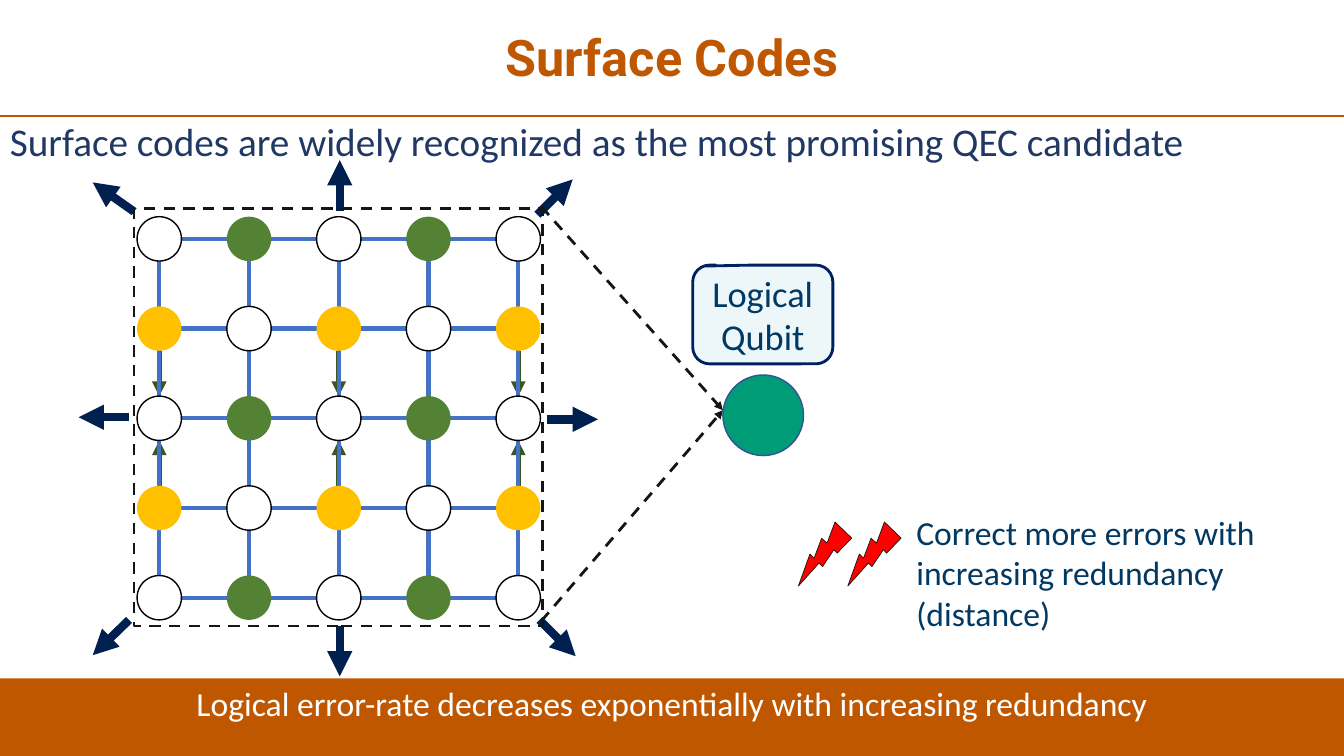
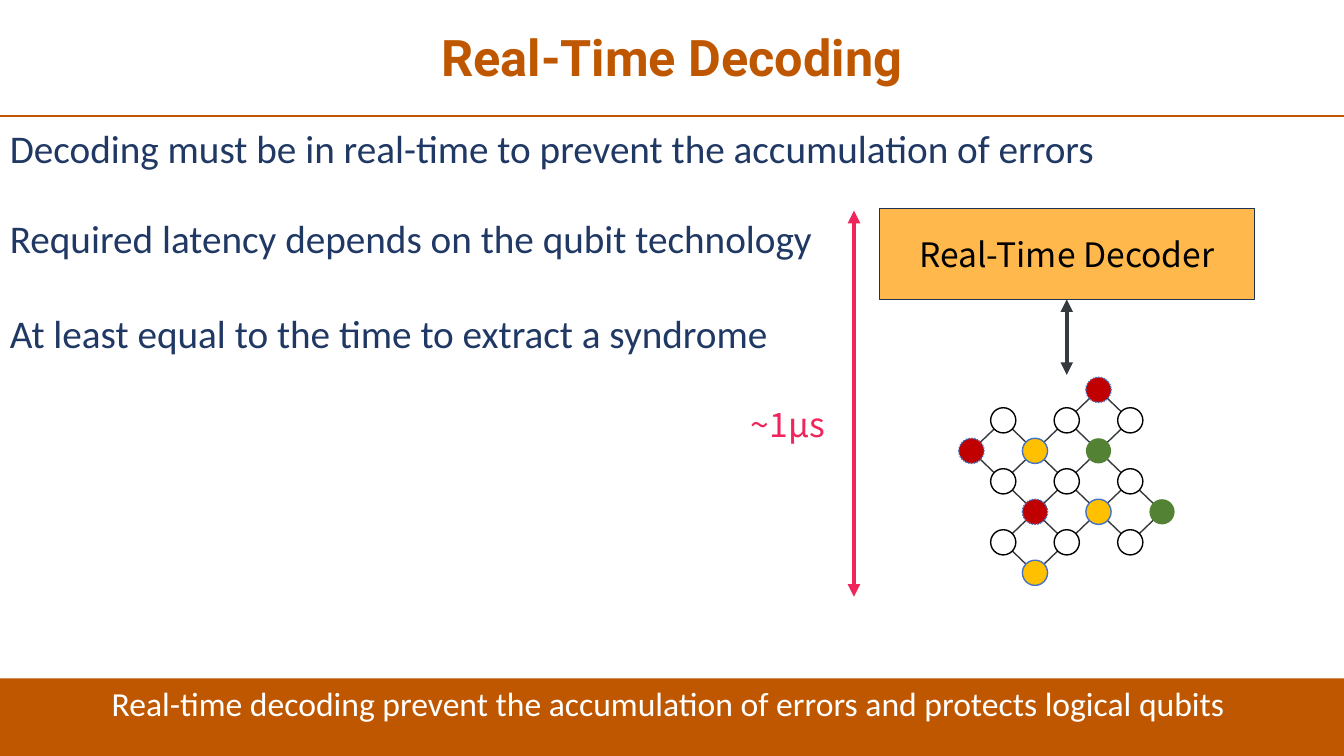
from dataclasses import dataclass
from itertools import product

from lxml.etree import SubElement
from pptx import Presentation
from pptx.dml.color import RGBColor
from pptx.enum.dml import MSO_LINE_DASH_STYLE as Dash
from pptx.enum.shapes import MSO_CONNECTOR, MSO_SHAPE as Shape
from pptx.enum.text import MSO_ANCHOR as Anchor, PP_ALIGN as Align
from pptx.oxml.ns import qn
from pptx.util import Inches, Pt


@dataclass(frozen=True)
class Theme:
    title_color: str = "BE5700"
    band: str = "BF5700"
    body: str = "203864"
    label: str = "003963"
    white: str = "FFFFFF"
    black: str = "000000"
    ink: str = "151515"
    grid: str = "4472C4"
    x_check: str = "548235"
    z_check: str = "FFC000"
    flagged: str = "C00000"
    flow: str = "385723"
    growth: str = "002050"
    logical: str = "009B77"
    logical_line: str = "325491"
    callout: str = "EDF6F9"
    callout_line: str = "002060"
    error: str = "FF0000"
    error_line: str = "181717"
    decoder: str = "FFB84C"
    decoder_line: str = "1E3256"
    wire: str = "343A40"
    latency: str = "EF255B"
    title_font: str = "Roboto"
    body_font: str = "Calibri"
    diagram_font: str = "Noto Sans CJK JP"
    title_size: int = 36
    body_size: int = 28
    callout_size: int = 26
    label_size: int = 24


THEME = Theme()
SLIDE_WIDTH, SLIDE_HEIGHT = 13.33, 7.5


def rgb(color):
    return RGBColor.from_string(color)


def style_line(line, color, width, dash=None):
    line.color.rgb = rgb(color)
    line.width = Pt(width)
    if dash is not None:
        line.dash_style = dash


def write_text(shape, lines, color, size, font=THEME.body_font, align=Align.LEFT,
               anchor=Anchor.TOP, bold=False, wrap=True, spacing=None):
    frame = shape.text_frame
    frame.word_wrap = wrap
    frame.vertical_anchor = anchor
    for index, line in enumerate(lines):
        paragraph = frame.paragraphs[0] if index == 0 else frame.add_paragraph()
        paragraph.alignment = align
        paragraph.line_spacing = spacing
        run = paragraph.add_run()
        run.text = line
        run.font.name = font
        run.font.size = Pt(size)
        run.font.bold = bold
        run.font.color.rgb = rgb(color)


def add_text(slide, box, lines, color, size, **options):
    text_box = slide.shapes.add_textbox(*map(Inches, box))
    write_text(text_box, lines, color, size, **options)


def add_shape(slide, kind, box, fill=None, line=None):
    """Add a preset shape; line holds colour, width and optionally a dash."""
    shape = slide.shapes.add_shape(kind, *map(Inches, box))
    shape.shadow.inherit = False
    if fill:
        shape.fill.solid()
        shape.fill.fore_color.rgb = rgb(fill)
    else:
        shape.fill.background()
    if line:
        style_line(shape.line, *line)
    else:
        shape.line.fill.background()
    return shape


def add_circle(slide, center, diameter, fill, line=None):
    x, y = center
    box = (x - diameter / 2, y - diameter / 2, diameter, diameter)
    add_shape(slide, Shape.OVAL, box, fill, line)


def add_line(slide, start, end, color, width, dash=None, arrows=()):
    """Add a straight line; arrows may name "headEnd" (start) and "tailEnd" (end)."""
    connector = slide.shapes.add_connector(
        MSO_CONNECTOR.STRAIGHT, *map(Inches, (*start, *end)))
    style_line(connector.line, color, width, dash)
    properties = connector._element.spPr
    for arrow in arrows:
        SubElement(properties.find(qn("a:ln")), qn(f"a:{arrow}"), type="triangle")
    SubElement(properties, qn("a:effectLst"))


def add_frame(presentation, title, message):
    """Add a slide with its title, rule and message band."""
    slide = presentation.slides.add_slide(presentation.slide_layouts[6])
    add_text(slide, (0.09, 0.04, 13.15, 1.11), [title], THEME.title_color,
             THEME.title_size, font=THEME.title_font, align=Align.CENTER,
             anchor=Anchor.MIDDLE, bold=True, spacing=0.9)
    add_line(slide, (0, 1.15), (SLIDE_WIDTH, 1.15), THEME.band, 1.5)
    band = add_shape(slide, Shape.RECTANGLE, (0, 6.73, SLIDE_WIDTH, 0.77), THEME.band)
    write_text(band, [message], THEME.white, THEME.label_size, align=Align.CENTER)
    return slide


def add_statement(slide, top, text, width=SLIDE_WIDTH):
    add_text(slide, (0, top, width, 0.57), [text], THEME.body, THEME.body_size)


def add_surface_lattice(slide):
    left, top, pitch, count = 1.58, 2.37, 0.89, 5
    middle = top + 2 * pitch
    for column, side in product((0, 2, 4), (-1, 1)):
        x = left + column * pitch
        add_line(slide, (x, middle + side * 0.67), (x, middle + side * 0.22),
                 THEME.flow, 3.5, arrows=["tailEnd"])
    for row, column in product(range(count - 1), repeat=2):
        cell = (left + column * pitch, top + row * pitch, pitch, pitch)
        add_shape(slide, Shape.RECTANGLE, cell, line=(THEME.grid, 3))
    for row, column in product(range(count), repeat=2):
        center = (left + column * pitch, top + row * pitch)
        if (row + column) % 2 == 0:
            add_circle(slide, center, 0.44, THEME.white, (THEME.black, 1))
        else:
            add_circle(slide, center, 0.44, THEME.z_check if row % 2 else THEME.x_check)


def add_growth_arrows(slide):
    arrows = [
        ((5.43, 4.16), (5.93, 4.16)), ((3.37, 6.21), (3.37, 6.71)),
        ((1.28, 4.14), (0.78, 4.14)), ((3.37, 2.09), (3.37, 1.59)),
        ((5.35, 6.15), (5.71, 6.51)), ((1.28, 6.15), (0.92, 6.5)),
        ((5.33, 2.13), (5.68, 1.78)), ((1.33, 2.1), (0.92, 1.81)),
    ]
    for start, end in arrows:
        add_line(slide, start, end, THEME.growth, 6, arrows=["tailEnd"])


def add_logical_qubit(slide):
    outline = (THEME.ink, 2, Dash.DASH)
    for corner_y in (2.05, 6.16):
        add_line(slide, (5.37, corner_y), (7.17, 4.07), *outline, arrows=["tailEnd"])
    add_shape(slide, Shape.RECTANGLE, (1.33, 2.07, 4.05, 4.14), line=outline)
    add_circle(slide, (7.57, 4.12), 0.8, THEME.logical, (THEME.logical_line, 1))
    callout = add_shape(slide, Shape.ROUNDED_RECTANGULAR_CALLOUT,
                        (6.87, 2.63, 1.39, 0.98), THEME.callout,
                        (THEME.callout_line, 2))
    for index, value in enumerate((-0.41, -0.49, 0.17)):
        callout.adjustments[index] = value
    write_text(callout, ["Logical Qubit"], THEME.label, THEME.callout_size,
               align=Align.CENTER, anchor=Anchor.MIDDLE)


def add_error_note(slide):
    for left in (7.9, 8.39):
        bolt = add_shape(slide, Shape.LIGHTNING_BOLT, (left, 5.16, 0.51, 0.64),
                         THEME.error, (THEME.error_line, 0.5))
        bolt.rotation = 73.9
    add_text(slide, (8.99, 5.03, 3.57, 1.31),
             ["Correct more errors with increasing redundancy", "(distance)"],
             THEME.label, THEME.label_size)


def add_syndrome_lattice(slide):
    """Add a 3 by 3 data grid with checks half a step away, wired to their neighbours."""
    diameter, size = 0.25, 3
    checks = {
        (-0.5, 1.5): THEME.flagged, (0.5, -0.5): THEME.flagged,
        (0.5, 0.5): THEME.z_check, (0.5, 1.5): THEME.x_check,
        (1.5, 0.5): THEME.flagged, (1.5, 1.5): THEME.z_check,
        (1.5, 2.5): THEME.x_check, (2.5, 0.5): THEME.z_check,
    }
    outlines = {
        THEME.flagged: (THEME.grid, 1, Dash.ROUND_DOT),
        THEME.z_check: (THEME.grid, 1),
    }
    data = list(product(range(size), repeat=2))

    def center(row, column):
        return 9.95 + 0.63 * column, 4.17 + 0.605 * row

    for check, qubit in product(checks, data):
        if all(abs(a - b) == 0.5 for a, b in zip(check, qubit)):
            add_line(slide, center(*check), center(*qubit), THEME.wire, 1)
    for qubit in data:
        add_circle(slide, center(*qubit), diameter, THEME.white, (THEME.black, 1))
    for check, color in checks.items():
        add_circle(slide, center(*check), diameter, color, outlines.get(color))


def add_decoder(slide):
    both_ends = ["headEnd", "tailEnd"]
    add_line(slide, (10.58, 2.97), (10.58, 3.72), THEME.wire, 3, arrows=both_ends)
    decoder = add_shape(slide, Shape.RECTANGLE, (8.72, 2.07, 3.72, 0.9),
                        THEME.decoder, (THEME.decoder_line, 1))
    write_text(decoder, ["Real-Time Decoder"], THEME.black, THEME.label_size,
               font=THEME.diagram_font, align=Align.CENTER, anchor=Anchor.MIDDLE)
    add_line(slide, (8.47, 2.09), (8.47, 5.92), THEME.latency, 3, arrows=both_ends)
    add_text(slide, (7.35, 3.96, 1.06, 0.5), ["~1μs"], THEME.latency,
             THEME.label_size, font=THEME.diagram_font, wrap=False)


def build_surface_codes(presentation):
    slide = add_frame(presentation, "Surface Codes",
                      "Logical error-rate decreases exponentially with increasing redundancy")
    add_statement(slide, 1.11,
                  "Surface codes are widely recognized as the most promising QEC candidate")
    add_surface_lattice(slide)
    add_growth_arrows(slide)
    add_error_note(slide)
    add_logical_qubit(slide)


def build_real_time_decoding(presentation):
    slide = add_frame(
        presentation, "Real-Time Decoding",
        "Real-time decoding prevent the accumulation of errors and protects logical qubits ")
    add_syndrome_lattice(slide)
    add_decoder(slide)
    add_statement(slide, 1.18,
                  "Decoding must be in real-time to prevent the accumulation of errors")
    add_statement(slide, 2.08, "Required latency depends on the qubit technology", 8.27)
    add_statement(slide, 3.02, "At least equal to the time to extract a syndrome", 8.27)


def main():
    presentation = Presentation()
    presentation.slide_width = Inches(SLIDE_WIDTH)
    presentation.slide_height = Inches(SLIDE_HEIGHT)
    build_surface_codes(presentation)
    build_real_time_decoding(presentation)
    presentation.save("out.pptx")


if __name__ == "__main__":
    main()
